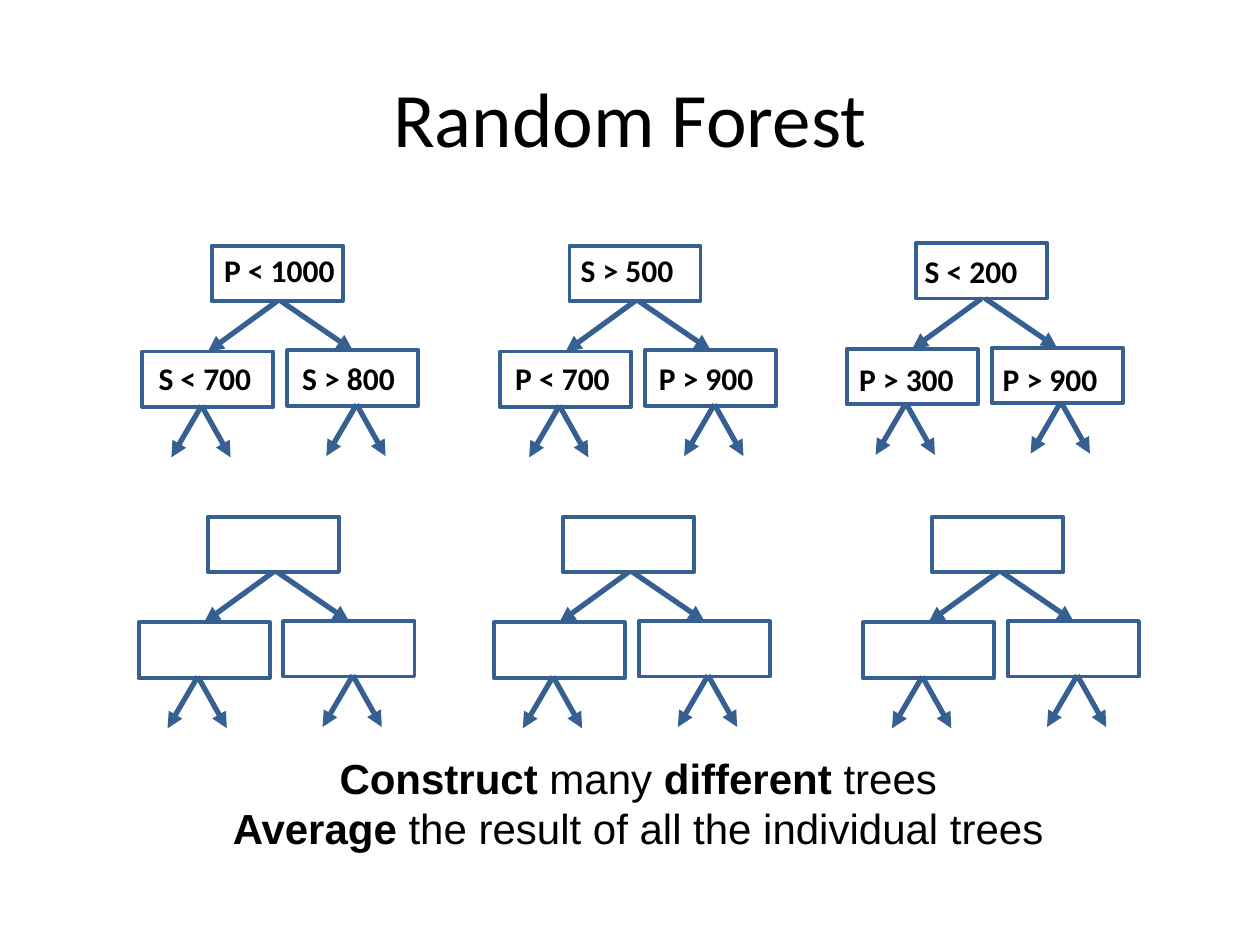
from lxml.etree import SubElement
from pptx import Presentation
from pptx.dml.color import RGBColor
from pptx.enum.shapes import MSO_CONNECTOR, MSO_SHAPE
from pptx.enum.text import MSO_ANCHOR, MSO_AUTO_SIZE, PP_ALIGN
from pptx.oxml.ns import qn
from pptx.util import Inches, Pt

COLORS = {"tree": "376092", "text": "000000"}
NODE_SIZE = (1.04, 0.44)

# Offsets from the left edge of the left child and the top of the root
ROOT = (0.55, 0)
CHILDREN = [(0, 0.84), (1.15, 0.83)]
BRANCHES = [
    ((1.07, 0.44), (0.52, 0.84)),
    ((1.10, 0.44), (1.67, 0.83)),
]
CHILD_TIPS = [(0.47, 1.27), (1.70, 1.26)]
TWIG_REACHES = [(-0.24, 0.41), (0.23, 0.41)]
LABEL_OFFSETS = [(0.52, 0), (0, 0.86), (1.14, 0.86)]

TREE_ORIGINS = [
    (1.13, 1.95), (3.97, 1.95), (6.72, 1.93),
    (1.10, 4.10), (3.92, 4.10), (6.85, 4.10),
]
# Origin of the labels, then root, left child and right child
TREE_LABELS = [
    ((1.16, 1.94), ("P < 1000", "S < 700", "S > 800")),
    ((3.99, 1.94), ("S > 500", "P < 700", "P > 900")),
    ((6.72, 1.95), ("S < 200", "P > 300", "P > 900")),
]
# Each run is its text and whether it is bold
SUMMARY = [
    [("Construct ", True), ("many ", False), ("different", True), (" trees", False)],
    [("Average", True), (" the result of all the individual trees", False)],
]


def shifted(origin, offset):
    return origin[0] + offset[0], origin[1] + offset[1]


def inches(*lengths):
    return [Inches(length) for length in lengths]


def style_font(font, **format_values):
    for attribute, value in format_values.items():
        setattr(font, attribute, value)
    font.color.rgb = RGBColor.from_string(COLORS["text"])


def style_line(line, width):
    line.color.rgb = RGBColor.from_string(COLORS["tree"])
    line.width = Pt(width)


def add_title(slide, wording):
    title = slide.shapes.title
    title.left, title.top, title.width, title.height = inches(0.5, 0.3, 9, 1.25)
    title.text_frame.text = wording
    title.text_frame.vertical_anchor = MSO_ANCHOR.MIDDLE
    heading = title.text_frame.paragraphs[0]
    heading.alignment = PP_ALIGN.CENTER
    style_font(heading.runs[0].font, name="Calibri", size=Pt(44))


def add_node(tree, position):
    node = tree.shapes.add_shape(MSO_SHAPE.RECTANGLE, *inches(*position, *NODE_SIZE))
    node.shadow.inherit = False
    node.fill.background()
    style_line(node.line, 2.25)


def add_arrow(tree, start, end):
    arrow = tree.shapes.add_connector(MSO_CONNECTOR.STRAIGHT, *inches(*start, *end))
    style_line(arrow.line, 3)
    properties = arrow._element.spPr
    SubElement(properties.find(qn("a:ln")), qn("a:tailEnd"), type="triangle")
    SubElement(properties, qn("a:effectLst"))


def add_tree(slide, origin):
    tree = slide.shapes.add_group_shape()
    add_node(tree, shifted(origin, ROOT))
    for start, end in BRANCHES:
        add_arrow(tree, shifted(origin, start), shifted(origin, end))
    for tip in CHILD_TIPS:
        start = shifted(origin, tip)
        for reach in TWIG_REACHES:
            add_arrow(tree, start, shifted(start, reach))
    for child in CHILDREN:
        add_node(tree, shifted(origin, child))


def add_text(shapes, position, extent, lines, alignment, **format_values):
    """Add a text box whose lines are lists of (wording, bold) runs."""
    frame = shapes.add_textbox(*inches(*position, *extent)).text_frame
    frame.word_wrap = True
    frame.auto_size = MSO_AUTO_SIZE.SHAPE_TO_FIT_TEXT
    for index, line in enumerate(lines):
        paragraph = frame.add_paragraph() if index else frame.paragraphs[0]
        paragraph.alignment = alignment
        for wording, bold in line:
            run = paragraph.add_run()
            run.text = wording
            style_font(run.font, bold=bold, **format_values)


def add_labels(slide, origin, conditions):
    labels = slide.shapes.add_group_shape()
    for offset, condition in zip(LABEL_OFFSETS, conditions):
        add_text(labels.shapes, shifted(origin, offset), (1.28, 0.4),
                 [[(condition, True)]], PP_ALIGN.LEFT, name="Calibri", size=Pt(18))


def main():
    presentation = Presentation()
    presentation.slide_width, presentation.slide_height = inches(10, 7.5)
    slide = presentation.slides.add_slide(presentation.slide_layouts.get_by_name("Title Only"))
    add_title(slide, "Random Forest")
    add_text(slide.shapes, (0.79, 5.92), (8.55, 0.91), SUMMARY,
             PP_ALIGN.CENTER, name="Arial", size=Pt(24))
    for origin in TREE_ORIGINS:
        add_tree(slide, origin)
    for origin, conditions in TREE_LABELS:
        add_labels(slide, origin, conditions)
    presentation.save("out.pptx")


if __name__ == "__main__":
    main()
